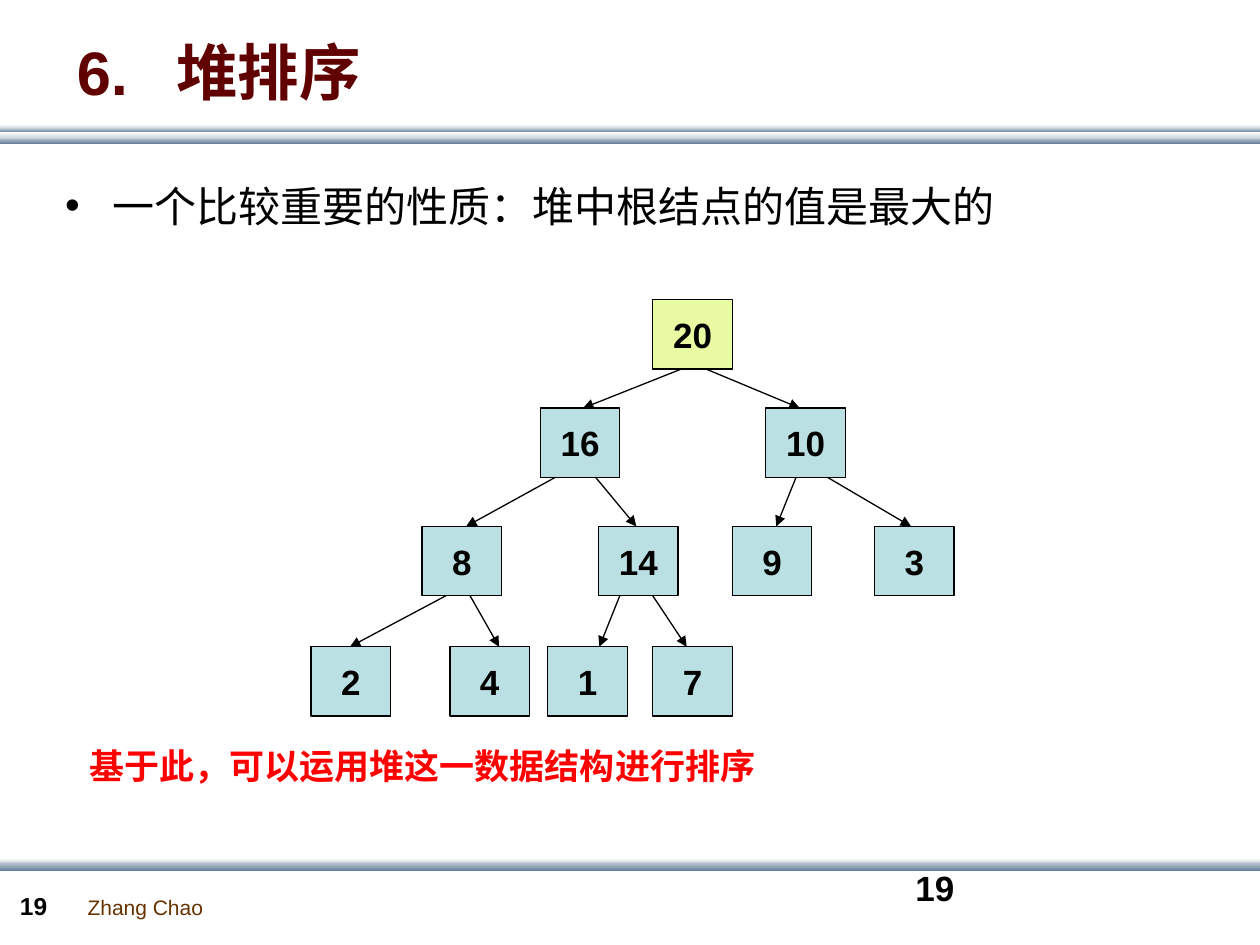
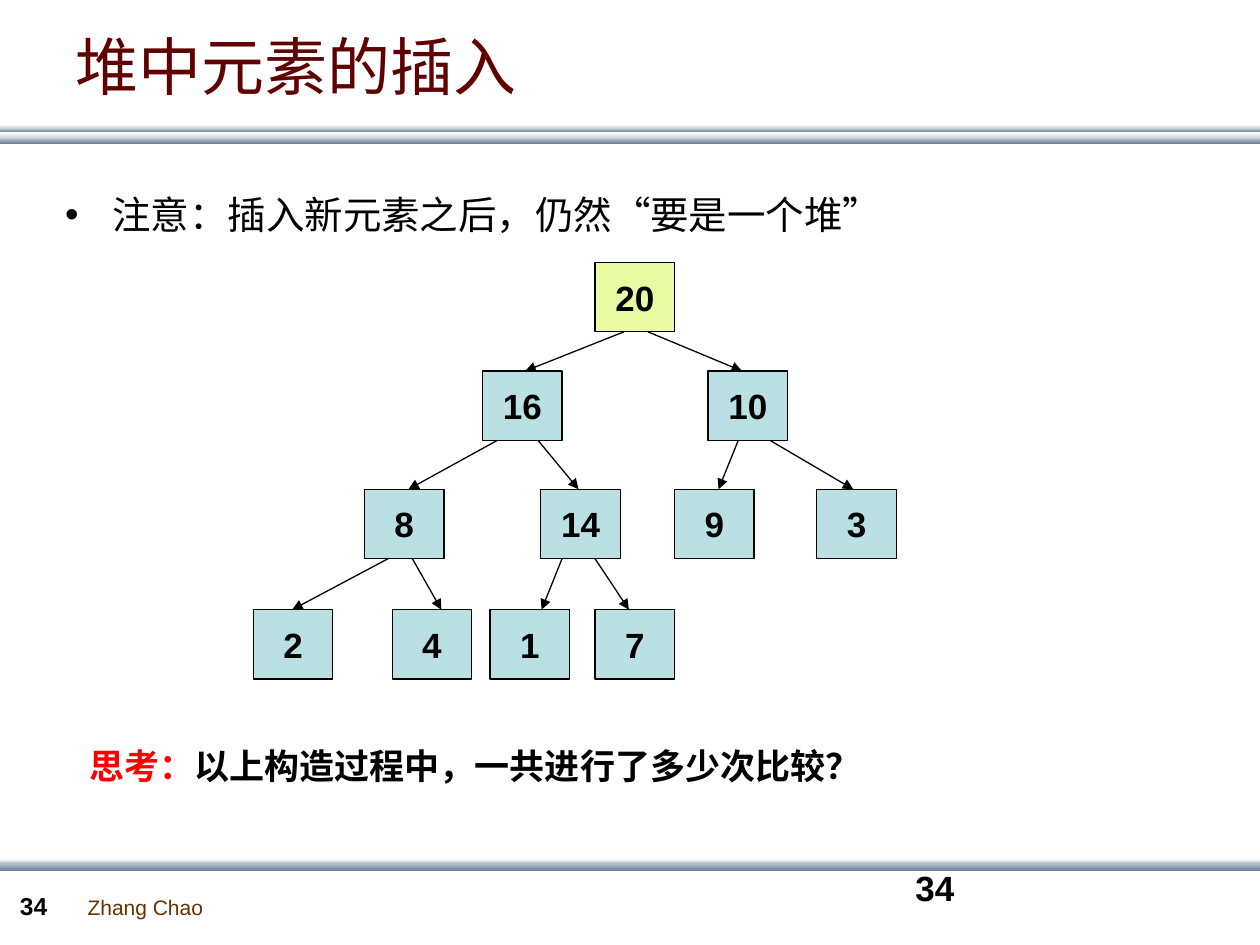
from typing import NamedTuple

from lxml.etree import SubElement
from pptx import Presentation
from pptx.dml.color import RGBColor
from pptx.enum.shapes import MSO_CONNECTOR as Connector, MSO_SHAPE as Preset
from pptx.enum.text import MSO_ANCHOR as Anchor, MSO_AUTO_SIZE as AutoSize, PP_ALIGN as Align
from pptx.oxml.ns import qn
from pptx.slide import Slide
from pptx.util import Pt

LATIN = "Arial"
CHINESE = "Noto Sans CJK SC"
BLACK = "000000"
RED = "FF0000"
TITLE_COLOUR = "600000"
AUTHOR_COLOUR = "663300"
ROOT_FILL = "E8FBA3"
NODE_FILL = "BBE0E3"
WHITE, PALE, STEEL = "FFFFFF", "C8D1DA", "6A839C"

NODE_WIDTH, NODE_HEIGHT = 45.5, 39.6
LEVEL_TOPS = (0, 62, 129.6, 198.4)


class Area(NamedTuple):
    left: float
    top: float
    width: float
    height: float


class Span(NamedTuple):
    text: str
    size: float
    colour: str = BLACK
    font: str = LATIN
    bold: bool = False


class Band(NamedTuple):
    top: float
    height: float
    upper: str
    lower: str


class HeapNode(NamedTuple):
    value: int
    shift: float
    leave: float = 0
    reach: float = 0


class HeapSlide(NamedTuple):
    number: int
    title: Span
    title_area: Area
    point: Span
    point_top: float
    root_left: float
    root_top: float
    remark: tuple[Span, ...]


BANDS = (
    Band(78.5, 3.6, PALE, STEEL),
    Band(73.4, 2.2, PALE, STEEL),
    Band(75.6, 3.6, WHITE, PALE),
    Band(71.3, 2.2, WHITE, PALE),
    Band(490.3, 3.6, WHITE, PALE),
    Band(492.5, 5, PALE, STEEL),
)

HEAP = (
    HeapNode(20, 0),
    HeapNode(16, -64.3, 16.6, 24.5),
    HeapNode(10, 64.6, 30.2, 19.4),
    HeapNode(8, -131.8, 8.6, 25.2),
    HeapNode(14, -31, 31.7, 21.6),
    HeapNode(9, 45.4, 17.3, 25.2),
    HeapNode(3, 126.7, 35.3, 20.9),
    HeapNode(2, -195.3, 13.7, 22.3),
    HeapNode(4, -115.9, 27.4, 28.1),
    HeapNode(1, -60, 12.2, 29.5),
    HeapNode(7, 0, 31, 19.4),
)

SLIDES = (
    HeapSlide(
        19,
        Span("6.\t堆排序", 35.1, TITLE_COLOUR, bold=True),
        Area(36.7, 15.1, 648, 51.1),
        Span("一个比较重要的性质：堆中根结点的值是最大的", 24, font=CHINESE),
        99.4, 373, 171.2,
        (Span("基于此，可以运用堆这一数据结构进行排序", 20, RED, CHINESE, True),),
    ),
    HeapSlide(
        34,
        Span("堆中元素的插入", 36, TITLE_COLOUR, CHINESE),
        Area(36, -7.9, 648, 90),
        Span("注意：插入新元素之后，仍然“要是一个堆”", 22, font=CHINESE),
        105.8, 340, 150,
        (Span("思考：", 20, RED, CHINESE, True),
         Span("以上构造过程中，一共进行了多少次比较？", 20, BLACK, CHINESE, True)),
    ),
)


def colour(value: str) -> RGBColor:
    return RGBColor.from_string(value)


def place(shape, area: Area) -> None:
    shape.left, shape.top, shape.width, shape.height = map(Pt, area)


def write(frame, spans: tuple[Span, ...], align=Align.LEFT, anchor=Anchor.TOP, wrap: bool = True) -> None:
    frame.auto_size = AutoSize.NONE
    frame.word_wrap = wrap
    frame.vertical_anchor = anchor
    frame.margin_left = frame.margin_right = Pt(7.2)
    frame.margin_top = frame.margin_bottom = Pt(3.6)
    para = frame.paragraphs[0]
    para.alignment = align
    para.space_before = Pt(0)
    for span in spans:
        run = para.add_run()
        run.text = span.text
        font = run.font
        font.size = Pt(span.size)
        font.bold = span.bold
        font.color.rgb = colour(span.colour)
        font.name = span.font
        SubElement(run._r.get_or_add_rPr(), qn("a:ea"), typeface=CHINESE)


def add_text(page: Slide, area: Area, *spans: Span, wrap: bool = True):
    box = page.shapes.add_textbox(*map(Pt, area))
    write(box.text_frame, spans, wrap=wrap)
    return box


def add_band(page: Slide, band: Band) -> None:
    shape = page.shapes.add_shape(Preset.RECTANGLE, 0, Pt(band.top), Pt(720), Pt(band.height))
    shape.shadow.inherit = False
    shape.line.fill.background()
    shape.fill.gradient()
    shape.fill.gradient_angle = 270
    for stop, shade in zip(shape.fill.gradient_stops, (band.upper, band.lower)):
        stop.color.rgb = colour(shade)


def add_frame(page: Slide, number: int) -> None:
    for band in BANDS:
        add_band(page, band)
    add_text(page, Area(43, 507.6, 80, 21.6), Span("Zhang Chao", 12, AUTHOR_COLOUR), wrap=False)
    add_text(page, Area(4.3, 505.4, 39.6, 24.5), Span(str(number), 14, bold=True))
    add_text(page, Area(516, 491.8, 168, 36), Span(str(number), 20, bold=True))


def add_title(page: Slide, span: Span, area: Area) -> None:
    title = page.shapes.title
    place(title, area)
    properties = title.text_frame.paragraphs[0]._p.get_or_add_pPr()
    if "\t" in span.text:
        tabs = SubElement(properties, qn("a:tabLst"))
        SubElement(tabs, qn("a:tab"), pos=str(Pt(57)), algn="l")
    write(title.text_frame, (span,), anchor=Anchor.MIDDLE)


def add_point(page: Slide, span: Span, top: float) -> None:
    box = page.shapes.add_textbox(*map(Pt, (30.2, top, 653, 50)))
    properties = box.text_frame.paragraphs[0]._p.get_or_add_pPr()
    properties.set("marL", str(Pt(27)))
    properties.set("indent", str(Pt(-27)))
    bullet_colour = SubElement(properties, qn("a:buClr"))
    SubElement(bullet_colour, qn("a:srgbClr"), val=BLACK)
    SubElement(properties, qn("a:buFont"), typeface=LATIN)
    SubElement(properties, qn("a:buChar"), char="•")
    write(box.text_frame, (span,))


def add_arrow(page: Slide, start: tuple[float, float], end: tuple[float, float]) -> None:
    arrow = page.shapes.add_connector(Connector.STRAIGHT, *map(Pt, start + end))
    arrow.line.width = Pt(0.75)
    arrow.line.color.rgb = colour(BLACK)
    SubElement(arrow.line._get_or_add_ln(), qn("a:tailEnd"), type="triangle")
    SubElement(arrow._element.spPr, qn("a:effectLst"))


def add_node(page: Slide, value: int, left: float, top: float, fill: str) -> None:
    node = page.shapes.add_shape(Preset.RECTANGLE, *map(Pt, (left, top, NODE_WIDTH, NODE_HEIGHT)))
    node.shadow.inherit = False
    node.fill.solid()
    node.fill.fore_color.rgb = colour(fill)
    node.line.color.rgb = colour(BLACK)
    node.line.width = Pt(0.75)
    write(node.text_frame, (Span(str(value), 20, bold=True),), Align.CENTER, Anchor.MIDDLE, False)


def add_heap(page: Slide, root_left: float, root_top: float) -> None:
    corners = [
        (root_left + node.shift, root_top + LEVEL_TOPS[(index + 1).bit_length() - 1])
        for index, node in enumerate(HEAP)
    ]
    for index, node in enumerate(HEAP):
        left, top = corners[index]
        if index:
            parent_left, parent_top = corners[(index - 1) // 2]
            add_arrow(page, (parent_left + node.leave, parent_top + NODE_HEIGHT), (left + node.reach, top))
        add_node(page, node.value, left, top, NODE_FILL if index else ROOT_FILL)


def main() -> None:
    deck = Presentation()
    deck.slide_width, deck.slide_height = Pt(720), Pt(540)
    title_only = deck.slide_layouts[5]
    for content in SLIDES:
        page = deck.slides.add_slide(title_only)
        add_frame(page, content.number)
        add_title(page, content.title, content.title_area)
        add_point(page, content.point, content.point_top)
        add_heap(page, content.root_left, content.root_top)
        add_text(page, Area(43.9, 421.9, 632, 31.7), *content.remark)
    deck.save("out.pptx")


if __name__ == "__main__":
    main()
